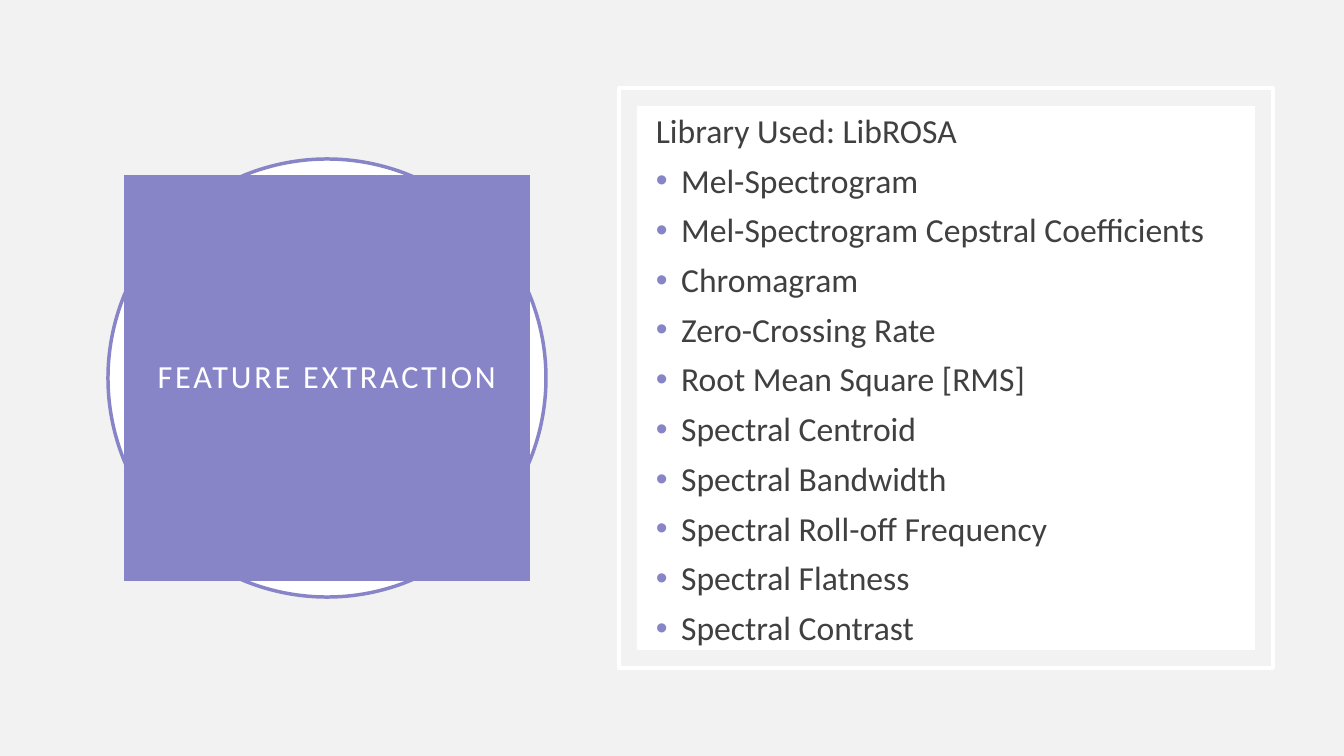
import pptx
import pptx.dml.color
import pptx.enum.shapes
import pptx.enum.text
import pptx.oxml
import pptx.oxml.ns
import pptx.util

SHAPE = pptx.enum.shapes.MSO_SHAPE
ALIGN = pptx.enum.text.PP_ALIGN
MIDDLE = pptx.enum.text.MSO_ANCHOR.MIDDLE
PAPER, WHITE, VIOLET, INK = "F2F2F2", "FFFFFF", "8784C7", "404040"
FEATURES = [
    "Mel-Spectrogram",
    "Mel-Spectrogram Cepstral Coefficients",
    "Chromagram",
    "Zero-Crossing Rate",
    "Root Mean Square [RMS]",
    "Spectral Centroid",
    "Spectral Bandwidth",
    "Spectral Roll-off Frequency",
    "Spectral Flatness",
    "Spectral Contrast",
]


def px(n):
    """Turn pixels into EMU."""
    return pptx.util.Emu(round(n * 12192000 / 1344))


def rgb(value):
    """Turn a hex string into a colour."""
    return pptx.dml.color.RGBColor.from_string(value)


def set_all(obj, **values):
    """Set attributes from format values."""
    for name, value in values.items():
        setattr(obj, name, value)


def add_shape(s, kind, box, fill=None, line=None):
    """Add a flat shape in a pixel box."""
    sp = s.shapes.add_shape(kind, *map(px, box))
    sp.shadow.inherit = False
    if fill:
        sp.fill.solid()
        sp.fill.fore_color.rgb = rgb(fill)
    else:
        sp.fill.background()
    if line:
        sp.line.color.rgb = rgb(line)
        sp.line.width = pptx.util.Pt(2.5)
    else:
        sp.line.fill.background()
    return sp


def add_text(p, text, size, color):
    """Add a styled run to a paragraph."""
    r = p.add_run()
    r.text = text
    set_all(r.font, name="Calibri", size=pptx.util.Pt(size))
    r.font.color.rgb = rgb(color)
    return r


def add_bullet(p):
    """Give a paragraph a violet bullet and a hanging indent."""
    pPr = p._p.get_or_add_pPr()
    pPr.set("marL", "228600")
    pPr.set("indent", "-228600")
    ns = pptx.oxml.ns.nsdecls("a")
    for xml in (
        f'<a:buClr {ns}><a:srgbClr val="{VIOLET}"/></a:buClr>',
        f'<a:buFont {ns} typeface="Arial"/>',
        f'<a:buChar {ns} char="•"/>',
    ):
        pPr.append(pptx.oxml.parse_xml(xml))


def title_badge(s, x, y, size):
    """Draw the title square over its ringed circle."""
    add_shape(s, SHAPE.OVAL, (x, y, size, size), WHITE, VIOLET)
    inset = 16
    side = size - 2 * inset
    sp = add_shape(s, SHAPE.RECTANGLE, (x + inset, y + inset, side, side), VIOLET)
    tf = sp.text_frame
    margins = dict.fromkeys(
        ("margin_left", "margin_right", "margin_top", "margin_bottom"), px(20))
    set_all(tf, word_wrap=True, vertical_anchor=MIDDLE, **margins)
    p = tf.paragraphs[0]
    set_all(p, alignment=ALIGN.CENTER, line_spacing=0.9)
    r = add_text(p, "FEATURE EXTRACTION", 23, WHITE)
    r._r.get_or_add_rPr().set("spc", "200")


def feature_panel(s, x, y, w, h):
    """Draw the framed panel with the feature list."""
    add_shape(s, SHAPE.RECTANGLE, (x, y, w, h), line=WHITE)
    inset = 18
    left, top = x + inset, y + inset
    width, height = w - 2 * inset, h - 2 * inset
    add_shape(s, SHAPE.RECTANGLE, (left, top, width, height), WHITE)
    sp = s.shapes.add_textbox(px(left + 9), px(top), px(width - 11), px(height + 6))
    tf = sp.text_frame
    set_all(tf, word_wrap=True, vertical_anchor=MIDDLE)
    for i, text in enumerate(["Library Used: LibROSA"] + FEATURES):
        p = tf.add_paragraph() if i else tf.paragraphs[0]
        set_all(p, alignment=ALIGN.LEFT, line_spacing=0.9,
                space_before=pptx.util.Pt(9.6 if i else 0))
        if i:
            add_bullet(p)
        add_text(p, text, 24, INK)


def main():
    """Build and save the slide."""
    prs = pptx.Presentation()
    set_all(prs, slide_width=px(1344), slide_height=px(756))
    s = prs.slides.add_slide(prs.slide_layouts[6])
    s.background.fill.solid()
    s.background.fill.fore_color.rgb = rgb(PAPER)
    title_badge(s, 108, 159, 438)
    feature_panel(s, 619, 88, 654, 580)
    prs.save("out.pptx")


if __name__ == "__main__":
    main()
